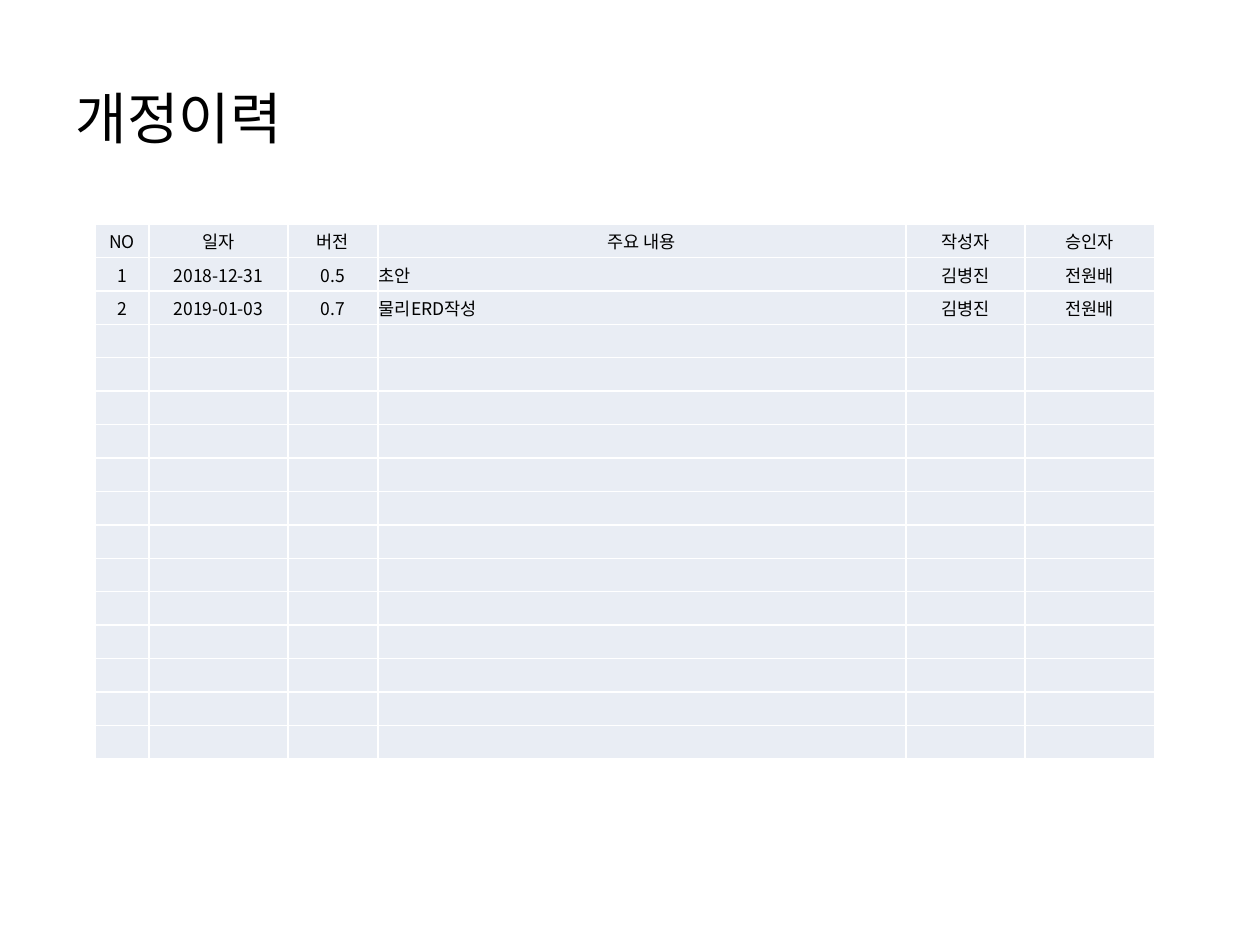
import pptx
import pptx.util
import pptx.dml.color
import pptx.enum.text
import pptx.oxml
import pptx.oxml.ns
from lxml import etree

PX = 914400 // 126
FONT = "Noto Sans CJK KR"
ALIGN = pptx.enum.text.PP_ALIGN
MIDDLE = pptx.enum.text.MSO_ANCHOR.MIDDLE
COLS = [54, 139, 90, 528, 119, 130]
NOTE = 3  # column of the left-aligned description
COUNT = 16
ROWS = [
    ["NO", "일자", "버전", "주요 내용", "작성자", "승인자"],
    ["1", "2018-12-31", "0.5", "초안", "김병진", "전원배"],
    ["2", "2019-01-03", "0.7", "물리ERD작성", "김병진", "전원배"],
]


def px(value):
    return pptx.util.Emu(round(value * PX))


def color(code):
    return pptx.dml.color.RGBColor.from_string(code)


def add(parent, tag, **attrs):
    return etree.SubElement(parent, pptx.oxml.ns.qn(tag), **attrs)


def style(para, size):
    for run in para.runs:
        run.font.size = pptx.util.Pt(size)
        run.font.name = FONT
        run.font.color.rgb = color("000000")
        add(run._r.get_or_add_rPr(), "a:ea", typeface=FONT)
    if not para.runs:
        # keeps an empty cell from growing to the default text size
        add(para._p, "a:endParaRPr", sz=str(size * 100))


def border(cell, code, width):
    props = cell._tc.get_or_add_tcPr()
    for spot, side in enumerate(("a:lnL", "a:lnR", "a:lnT", "a:lnB")):
        line = add(props, side, w=str(pptx.util.Pt(width)))
        add(add(line, "a:solidFill"), "a:srgbClr", val=code)
        props.insert(spot, line)


def title(slide, box, text):
    shape = slide.shapes.title
    shape.left, shape.top, shape.width, shape.height = map(px, box)
    frame = shape.text_frame
    frame.text = text
    frame.vertical_anchor = MIDDLE
    para = frame.paragraphs[0]
    para.alignment = ALIGN.LEFT
    style(para, 32)


def fill_cell(cell, text, align):
    cell.margin_left = cell.margin_right = cell.margin_top = px(1)
    cell.margin_bottom = 0
    cell.vertical_anchor = MIDDLE
    cell.fill.solid()
    cell.fill.fore_color.rgb = color("E9EDF4")
    border(cell, "FFFFFF", 1)
    cell.text_frame.text = text
    para = cell.text_frame.paragraphs[0]
    para.alignment = align
    style(para, 10)


def history(slide, box):
    """Draw the revision table, with blank rows below the entries."""
    table = slide.shapes.add_table(COUNT, len(COLS), *map(px, box)).table
    for col, width in zip(table.columns, COLS):
        col.width = px(width)
    blank = [[""] * len(COLS)] * (COUNT - len(ROWS))
    for r, texts in enumerate(ROWS + blank):
        table.rows[r].height = px(box[3] / COUNT)
        for c, text in enumerate(texts):
            left = r > 0 and c == NOTE
            fill_cell(table.cell(r, c), text, ALIGN.LEFT if left else ALIGN.CENTER)


def main():
    deck = pptx.Presentation()
    deck.slide_width, deck.slide_height = px(1260), px(945)
    slide = deck.slides.add_slide(deck.slide_layouts[5])
    title(slide, (63, 38, 1134, 158), "개정이력")
    history(slide, (95, 224, sum(COLS), 535))
    deck.save("out.pptx")


if __name__ == "__main__":
    main()
